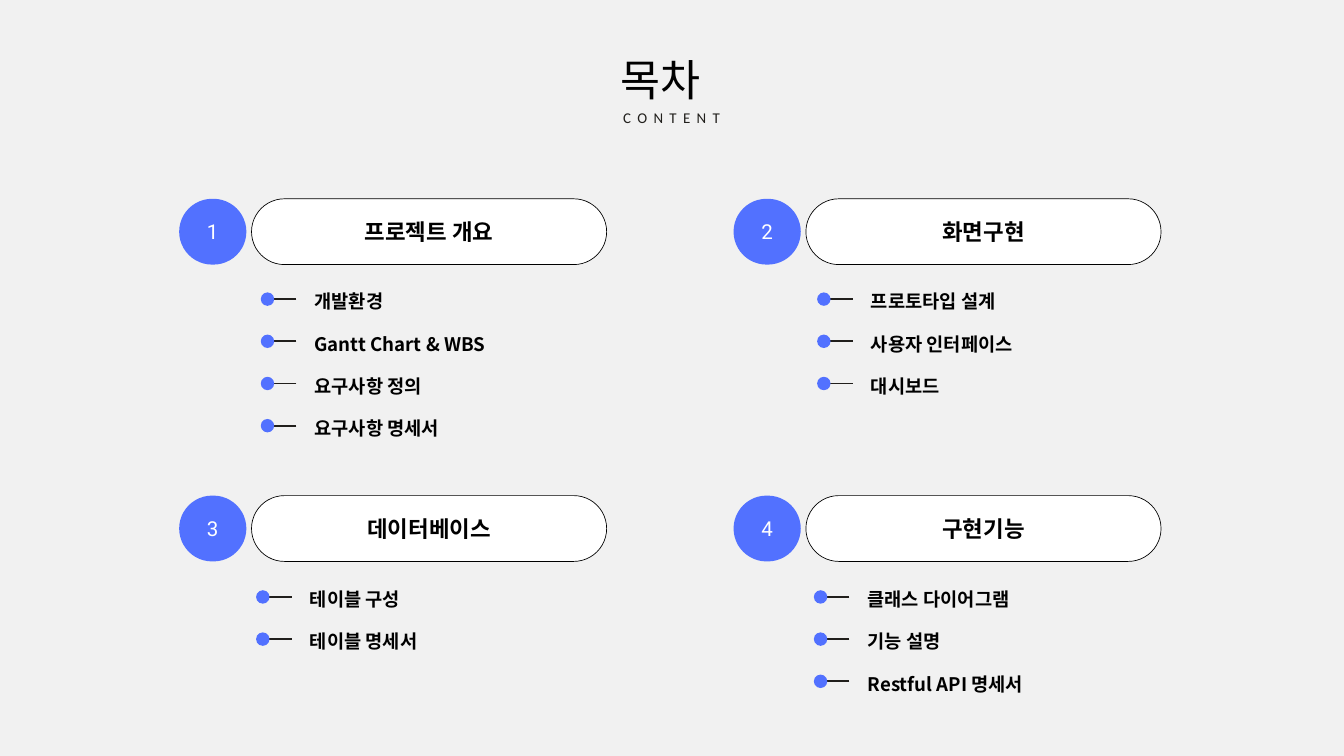
from lxml import etree
from pptx import Presentation
from pptx.dml.color import RGBColor
from pptx.enum import shapes, text
from pptx.oxml import ns
from pptx.util import Pt

COLORS = {
    "background": "F1F1F1",
    "accent": "5271FF",
    "white": "FFFFFF",
    "black": "000000",
    "ink": "211F1C",
}
KOREAN = "Noto Sans CJK KR"
BADGE_LEFT, PILL_LEFT, HEADER_TOP = 192, 269.5, 213
COLUMN_STEP, ROW_STEP = 594, 318
HEADER_HEIGHT = 70.5
ITEM_STEP = 45.2
DOT_SIZE, DASH_LENGTH, TEXT_OFFSET = 14.4, 31, 43.2
FIRST_LINE_RISE = 30.7

SECTIONS = [
    ("프로젝트 개요", 286.6, 320.5,
     ["개발환경", "Gantt Chart & WBS", "요구사항 정의", "요구사항 명세서"]),
    ("화면구현", 882.7, 320.5,
     ["프로토타입 설계", "사용자 인터페이스", "대시보드"]),
    ("데이터베이스", 281.6, 639.6,
     ["테이블 구성", "테이블 명세서"]),
    ("구현기능", 879.2, 639.6,
     ["클래스 다이어그램", "기능 설명", "Restful API 명세서"]),
]


def rgb(name):
    return RGBColor.from_string(COLORS[name])


def place(shape, left, top, width, height):
    shape.left, shape.top = Pt(left), Pt(top)
    shape.width, shape.height = Pt(width), Pt(height)


def style_paragraph(paragraph, size, color, font_name=KOREAN, bold=False,
                    alignment=text.PP_ALIGN.LEFT, line_spacing=None, tracking=0):
    paragraph.alignment = alignment
    paragraph.space_before = Pt(0)
    if line_spacing:
        paragraph.line_spacing = Pt(line_spacing)
    font = paragraph.font
    font.size, font.bold, font.name = Pt(size), bold, font_name
    font.color.rgb = rgb(color)
    properties = paragraph._p.pPr.find(ns.qn("a:defRPr"))
    etree.SubElement(properties, ns.qn("a:ea")).set("typeface", font_name)
    if tracking:
        properties.set("spc", str(round(tracking * 100)))


def prepare_frame(shape, inset=0):
    frame = shape.text_frame
    frame.word_wrap = True
    frame.auto_size = text.MSO_AUTO_SIZE.NONE
    frame.vertical_anchor = text.MSO_ANCHOR.TOP
    frame.margin_left = frame.margin_right = Pt(inset)
    frame.margin_top = frame.margin_bottom = Pt(0)
    return frame


def add_heading(slide):
    title = slide.shapes.title
    place(title, 665.3, 44.6, 110, 66.2)
    frame = prepare_frame(title)
    frame.text = "목차"
    style_paragraph(frame.paragraphs[0], 46.6, "black", line_spacing=68.5)

    subtitle = slide.shapes.add_textbox(Pt(561.6), Pt(111.6), Pt(316), Pt(23))
    frame = prepare_frame(subtitle)
    frame.text = "CONTENT"
    style_paragraph(frame.paragraphs[0], 16, "ink", "Calibri", line_spacing=23.5,
                    alignment=text.PP_ALIGN.CENTER, tracking=6.8)


def add_shape(slide, kind, left, top, width, height, fill, line=None):
    shape = slide.shapes.add_shape(kind, Pt(left), Pt(top), Pt(width), Pt(height))
    shape.shadow.inherit = False
    shape.fill.solid()
    shape.fill.fore_color.rgb = rgb(fill)
    if line:
        shape.line.color.rgb = rgb(line)
        shape.line.width = Pt(0.75)
    else:
        shape.line.fill.background()
    return shape


def add_capsule(slide, label, left, top, width, fill, line=None, **style):
    capsule = add_shape(slide, shapes.MSO_SHAPE.ROUNDED_RECTANGLE,
                        left, top, width, HEADER_HEIGHT, fill, line)
    capsule.adjustments[0] = 0.5
    frame = capsule.text_frame
    frame.text = label
    frame.vertical_anchor = text.MSO_ANCHOR.MIDDLE
    style_paragraph(frame.paragraphs[0], alignment=text.PP_ALIGN.CENTER, **style)


def add_section_header(slide, index, label):
    row, column = divmod(index, 2)
    shift, top = column * COLUMN_STEP, HEADER_TOP + row * ROW_STEP
    add_capsule(slide, label, PILL_LEFT + shift, top, 380.5, "white", "black",
                size=24, color="black", bold=True)
    add_capsule(slide, str(index + 1), BADGE_LEFT + shift, top, 72, "accent",
                size=22, color="white", font_name="Roboto", tracking=3.1)


def add_marker(slide, x, y):
    dash = slide.shapes.add_connector(
        shapes.MSO_CONNECTOR.STRAIGHT, Pt(x + DASH_LENGTH), Pt(y), Pt(x), Pt(y))
    dash.line.color.rgb = rgb("ink")
    dash.line.width = Pt(2)
    etree.SubElement(dash._element.spPr, ns.qn("a:effectLst"))
    add_shape(slide, shapes.MSO_SHAPE.OVAL, x - DOT_SIZE / 2, y - DOT_SIZE / 2,
              DOT_SIZE, DOT_SIZE, "accent")


def add_item_list(slide, placeholder, x, y, items):
    place(placeholder, x + TEXT_OFFSET, y - FIRST_LINE_RISE,
          326, len(items) * ITEM_STEP)
    frame = prepare_frame(placeholder, inset=7.2)
    frame.text = "\n".join(items)
    for position, paragraph in enumerate(frame.paragraphs):
        properties = paragraph._p.get_or_add_pPr()
        properties.set("marL", "0")
        properties.set("indent", "0")
        etree.SubElement(properties, ns.qn("a:buNone"))
        style_paragraph(paragraph, 20, "black", bold=True, line_spacing=ITEM_STEP)
        add_marker(slide, x, y + position * ITEM_STEP)


def main():
    presentation = Presentation()
    presentation.slide_width, presentation.slide_height = Pt(1440), Pt(810)
    slide = presentation.slides.add_slide(
        presentation.slide_layouts.get_by_name("Comparison"))
    slide.background.fill.solid()
    slide.background.fill.fore_color.rgb = rgb("background")

    add_heading(slide)
    for index, (label, x, y, items) in enumerate(SECTIONS):
        add_section_header(slide, index, label)
        add_item_list(slide, slide.placeholders[index + 1], x, y, items)
    presentation.save("out.pptx")


if __name__ == "__main__":
    main()
